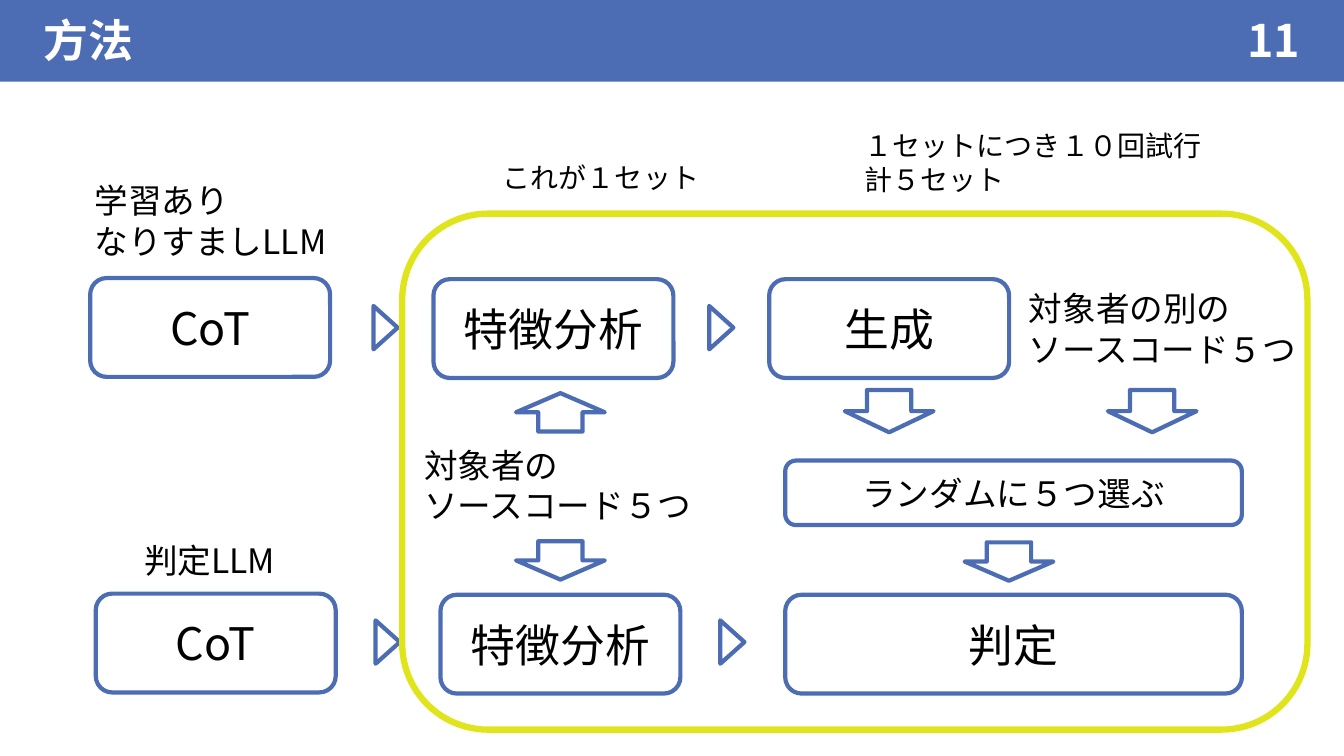
"""Build the method slide: two LLM rows compared inside one experiment set."""
from dataclasses import dataclass

from lxml import etree
from pptx import Presentation
from pptx import util as u
from pptx.dml.color import RGBColor
from pptx.enum import shapes, text
from pptx.oxml import ns

Kind = shapes.MSO_SHAPE
Align = text.PP_ALIGN
Mid = text.MSO_ANCHOR.MIDDLE
Top = text.MSO_ANCHOR.TOP


@dataclass(frozen=True)
class Theme:
    blue: str = "4C6CB3"
    lime: str = "E0E51B"
    white: str = "FFFFFF"
    black: str = "000000"
    font: str = "Noto Sans CJK JP"
    big: float = 32
    body: float = 24
    small: float = 20
    thin: float = 3
    thick: float = 4.5


@dataclass(frozen=True)
class Box:
    left: float
    top: float
    wide: float
    high: float
    words: str = ""
    size: float = 32
    kind: Kind = Kind.ROUNDED_RECTANGLE
    turn: float = 0


@dataclass(frozen=True)
class Label:
    left: float
    top: float
    wide: float
    high: float
    words: str
    size: float = 24
    wrap: bool = False


THEME = Theme()
STEP_W, STEP_H, WIDE_W = 171.4, 70.6, 326.2
ROW_A, ROW_B = 199.4, 424.8
RIGHT = 560.9


def step(left: float, top: float, words: str, wide: float = STEP_W) -> Box:
    return Box(left, top, wide, STEP_H, words)


def wedge(left: float, top: float) -> Box:
    return Box(left, top, 31, 17.3, kind=Kind.ISOSCELES_TRIANGLE, turn=90)


def arrow(left: float, top: float, high: float, kind: Kind = Kind.DOWN_ARROW) -> Box:
    return Box(left, top, 63.4, high, kind=kind)


BOXES = [
    step(68.4, ROW_B - 0.8, "CoT"),
    wedge(261.4, 450),
    step(314.6, ROW_B, "特徴分析"),
    wedge(507.6, 450),
    step(RIGHT, ROW_B, "判定", WIDE_W),
    step(64.4, ROW_A - 0.8, "CoT"),
    wedge(259.9, 225.4),
    step(309.6, ROW_A, "特徴分析"),
    wedge(499.7, 225.4),
    step(549.4, ROW_A, "生成"),
    arrow(368.6, 386.6, 27.4),
    arrow(368.6, 280.8, 27.4, Kind.UP_ARROW),
    arrow(603.4, 278.6, 30.2),
    arrow(791.3, 278.6, 30.2),
    arrow(689, 387.4, 27.4),
    Box(RIGHT, 329, WIDE_W, 46.1, "ランダムに５つ選ぶ", THEME.body),
]

LABELS = [
    Label(95.8, 382.3, 114.5, 36, "判定LLM"),
    Label(295.9, 313.9, 208.1, 65.5, "対象者の\nソースコード５つ"),
    Label(60.5, 125.3, 187.2, 65.5, "学習あり\nなりすましLLM"),
    Label(727.9, 202.3, 208.1, 65.5, "対象者の別の\nソースコード５つ"),
    Label(610.6, 88.6, 257, 55.4, "１セットにつき１０回試行\n計５セット", THEME.small),
    Label(352.1, 110.9, 180, 31.7, "これが１セット", THEME.small, True),
]


def write(frame, words: str, *, size: float, color: str = THEME.black,
          bold: bool = False, align: Align = Align.LEFT, anchor=Top,
          wrap: bool = True, before: float = 0, lines: float = 1) -> None:
    frame.auto_size = text.MSO_AUTO_SIZE.NONE
    frame.word_wrap = wrap
    frame.vertical_anchor = anchor
    for i, line in enumerate(words.split("\n")):
        para = frame.add_paragraph() if i else frame.paragraphs[0]
        para.alignment = align
        para.space_before = u.Pt(before)
        para.line_spacing = lines
        run = para.add_run()
        run.text = line
        font = run.font
        font.name, font.size, font.bold = THEME.font, u.Pt(size), bold
        font.color.rgb = RGBColor.from_string(color)
        east = etree.SubElement(run.font._element, ns.qn("a:ea"))
        east.set("typeface", THEME.font)


def draw(slide, box: Box, *, line: str = THEME.blue, width: float = THEME.thin,
         fill: str = ""):
    spot = [u.Pt(v) for v in (box.left, box.top, box.wide, box.high)]
    shape = slide.shapes.add_shape(box.kind, *spot)
    shape.shadow.inherit = False
    shape.rotation = box.turn
    if fill:
        shape.fill.solid()
        shape.fill.fore_color.rgb = RGBColor.from_string(fill)
        shape.line.fill.background()
    else:
        shape.fill.background()
        shape.line.color.rgb = RGBColor.from_string(line)
        shape.line.width = u.Pt(width)
    if box.words:
        write(shape.text_frame, box.words, size=box.size, align=Align.CENTER, anchor=Mid)
    return shape


def note(slide, label: Label, **style) -> None:
    spot = [u.Pt(v) for v in (label.left, label.top, label.wide, label.high)]
    frame = slide.shapes.add_textbox(*spot).text_frame
    write(frame, label.words, size=label.size, wrap=label.wrap, **style)


def head(slide) -> None:
    bar = draw(slide, Box(0, 0, 960, 58.3, kind=Kind.RECTANGLE), fill=THEME.blue)
    slide.shapes.element.insert(2, bar.element)
    title = slide.shapes.title
    title.left, title.top = u.Pt(23.8), u.Pt(10.1)
    title.width, title.height = u.Pt(298), u.Pt(46.8)
    write(title.text_frame, "方法", size=THEME.big, color=THEME.white, bold=True,
          before=10, lines=0.9)
    note(slide, Label(859.7, 10.1, 76.3, 36.7, "11", THEME.big, True),
         color=THEME.white, bold=True, align=Align.RIGHT, anchor=Mid)


def main() -> None:
    deck = Presentation()
    deck.slide_width, deck.slide_height = u.Pt(960), u.Pt(540)
    slide = deck.slides.add_slide(deck.slide_layouts[5])
    head(slide)
    for box in BOXES:
        draw(slide, box)
    draw(slide, Box(287.3, 152.6, 646.6, 368.6), line=THEME.lime, width=THEME.thick)
    for label in LABELS:
        note(slide, label)
    deck.save("out.pptx")


if __name__ == "__main__":
    main()
